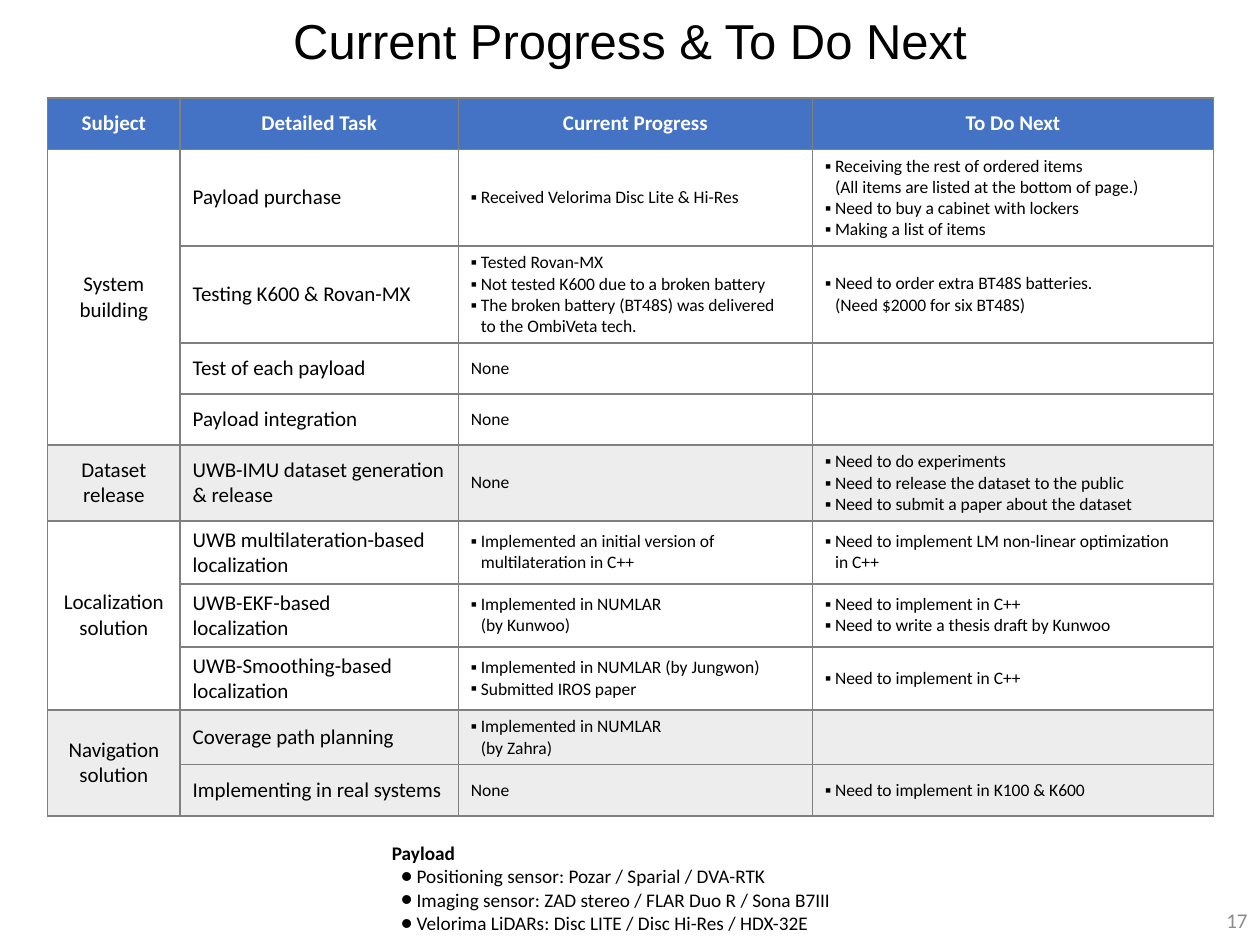
"""Build the slide that reviews current progress and the next steps."""
from dataclasses import dataclass

from lxml.etree import SubElement
from pptx import Presentation
from pptx.dml.color import RGBColor
from pptx.enum.text import MSO_ANCHOR, PP_ALIGN
from pptx.oxml import parse_xml
from pptx.oxml.ns import nsdecls, qn
from pptx.util import Cm, Pt


@dataclass(frozen=True)
class Theme:
    title_font: str = "Arial"
    body_font: str = "Calibri"
    black: str = "000000"
    white: str = "FFFFFF"
    header: str = "4472C4"
    band: str = "EDEDED"
    border: str = "808080"
    number: str = "8C8C8C"
    title_size: int = 28
    task_size: int = 12
    detail_size: int = 10
    note_size: int = 11


THEME = Theme()
COLUMN_WIDTHS = (2.67, 5.61, 7.14, 8.08)
ROW_HEIGHT = 1.03
HEADINGS = ("Subject", "Detailed Task", "Current Progress", "To Do Next")

SUBJECTS = [
    (["System", "building"], THEME.white, [
        (["Payload purchase"],
         ["▪Received Velorima Disc Lite & Hi-Res"],
         ["▪Receiving the rest of ordered items\n(All items are listed at the bottom of page.)",
          "▪Need to buy a cabinet with lockers",
          "▪Making a list of items"]),
        (["Testing K600 & Rovan-MX"],
         ["▪Tested Rovan-MX",
          "▪Not tested K600 due to a broken battery",
          "▪The broken battery (BT48S) was delivered\nto the OmbiVeta tech."],
         ["▪Need to order extra BT48S batteries.\n(Need $2000 for six BT48S)"]),
        (["Test of each payload"], ["None"], []),
        (["Payload integration"], ["None"], []),
    ]),
    (["Dataset\nrelease"], THEME.band, [
        (["UWB-IMU dataset generation & release"],
         ["None"],
         ["▪Need to do experiments",
          "▪Need to release the dataset to the public",
          "▪Need to submit a paper about the dataset"]),
    ]),
    (["Localization", "solution"], THEME.white, [
        (["UWB multilateration-based localization"],
         ["▪Implemented an initial version of\nmultilateration in C++"],
         ["▪Need to implement LM non-linear optimization\nin C++"]),
        (["UWB-EKF-based", "localization"],
         ["▪Implemented in NUMLAR\n(by Kunwoo)"],
         ["▪Need to implement in C++", "▪Need to write a thesis draft by Kunwoo"]),
        (["UWB-Smoothing-based", "localization"],
         ["▪Implemented in NUMLAR (by Jungwon)", "▪Submitted IROS paper"],
         ["▪Need to implement in C++"]),
    ]),
    (["Navigation", "solution"], THEME.band, [
        (["Coverage path planning"], ["▪Implemented in NUMLAR\n(by Zahra)"], []),
        (["Implementing in real systems"], ["None"],
         ["▪Need to implement in K100 & K600"]),
    ]),
]

PAYLOAD_NOTES = [
    "●Positioning sensor: Pozar / Sparial / DVA-RTK",
    "●Imaging sensor: ZAD stereo / FLAR Duo R / Sona B7III",
    "●Velorima LiDARs: Disc LITE / Disc Hi-Res / HDX-32E",
]


def add_bullet(para, mark, margin, hang):
    """Give a paragraph a bullet with a hanging indent."""
    properties = para._p.get_or_add_pPr()
    properties.set("marL", str(Cm(margin)))
    properties.set("indent", str(-Cm(hang)))
    SubElement(properties, qn("a:buFont"), typeface=THEME.body_font)
    SubElement(properties, qn("a:buChar"), char=mark)


def write_paragraphs(frame, texts, size, color=THEME.black, bold=False,
                     align=PP_ALIGN.LEFT, font=THEME.body_font):
    """Fill a text frame, turning leading marks into bullets."""
    for index, text in enumerate(texts):
        para = frame.paragraphs[0] if index == 0 else frame.add_paragraph()
        if text.startswith("▪"):
            add_bullet(para, "▪", 0.2, 0.2)
        elif text.startswith("●"):
            add_bullet(para, "●", 0.5, 0.32)
        para.text = text.lstrip("▪●")
        para.alignment = align
        para.font.name = font
        para.font.size = Pt(size)
        para.font.bold = bold
        para.font.color.rgb = RGBColor.from_string(color)


def add_text(slide, left, top, width, height, texts, size,
             anchor=MSO_ANCHOR.MIDDLE, **style):
    """Add a wrapping text box and return its text frame."""
    box = slide.shapes.add_textbox(Cm(left), Cm(top), Cm(width), Cm(height))
    frame = box.text_frame
    frame.word_wrap = True
    frame.vertical_anchor = anchor
    write_paragraphs(frame, texts, size, **style)
    return frame


def style_cell(cell, fill):
    """Set the fill, anchor and four borders of a cell."""
    cell.vertical_anchor = MSO_ANCHOR.MIDDLE
    cell.fill.solid()
    cell.fill.fore_color.rgb = RGBColor.from_string(fill)
    properties = cell._tc.get_or_add_tcPr()
    for position, side in enumerate(("lnL", "lnR", "lnT", "lnB")):
        line = parse_xml(
            f'<a:{side} {nsdecls("a")} w="{Pt(1)}"><a:solidFill>'
            f'<a:srgbClr val="{THEME.border}"/></a:solidFill></a:{side}>')
        properties.insert(position, line)


def fill_subject(table, first_row, subject, fill, tasks):
    """Write one subject with its task rows."""
    for row, (task, progress, following) in enumerate(tasks, first_row):
        for column in range(len(HEADINGS)):
            style_cell(table.cell(row, column), fill)
        write_paragraphs(table.cell(row, 1).text_frame, task, THEME.task_size)
        for column, texts in ((2, progress), (3, following)):
            write_paragraphs(table.cell(row, column).text_frame, texts, THEME.detail_size)
    subject_cell = table.cell(first_row, 0)
    if len(tasks) > 1:
        subject_cell.merge(table.cell(first_row + len(tasks) - 1, 0))
    write_paragraphs(subject_cell.text_frame, subject, THEME.task_size,
                     align=PP_ALIGN.CENTER)


def add_progress_table(slide):
    """Add the table of subjects, tasks, progress and next steps."""
    row_count = 1 + sum(len(tasks) for _, _, tasks in SUBJECTS)
    table = slide.shapes.add_table(
        row_count, len(HEADINGS), Cm(0.96), Cm(1.98),
        Cm(sum(COLUMN_WIDTHS)), Cm(ROW_HEIGHT * row_count)).table
    table.first_row = False
    table.horz_banding = False
    for column, width in zip(table.columns, COLUMN_WIDTHS):
        column.width = Cm(width)
    for row in table.rows:
        row.height = Cm(ROW_HEIGHT)
    for column, heading in enumerate(HEADINGS):
        cell = table.cell(0, column)
        style_cell(cell, THEME.header)
        write_paragraphs(cell.text_frame, [heading], THEME.task_size, THEME.white,
                         bold=True, align=PP_ALIGN.CENTER)
    first_row = 1
    for subject, fill, tasks in SUBJECTS:
        fill_subject(table, first_row, subject, fill, tasks)
        first_row += len(tasks)


def main():
    """Build and save the deck."""
    deck = Presentation()
    deck.slide_width, deck.slide_height = Cm(25.4), Cm(19.05)
    slide = deck.slides.add_slide(deck.slide_layouts[6])
    title = add_text(slide, 1.75, 0.2, 21.9, 1.37, ["Current Progress & To Do Next"],
                     THEME.title_size, align=PP_ALIGN.CENTER, font=THEME.title_font)
    title.paragraphs[0].line_spacing = 0.9
    add_progress_table(slide)
    notes = add_text(slide, 7.65, 16.84, 10.08, 2.21, ["Payload", *PAYLOAD_NOTES],
                     THEME.note_size, anchor=MSO_ANCHOR.TOP)
    notes.paragraphs[0].font.bold = True
    add_text(slide, 19.69, 18.03, 5.71, 1.02, ["17"], THEME.task_size,
             color=THEME.number, align=PP_ALIGN.RIGHT)
    deck.save("out.pptx")


if __name__ == "__main__":
    main()
